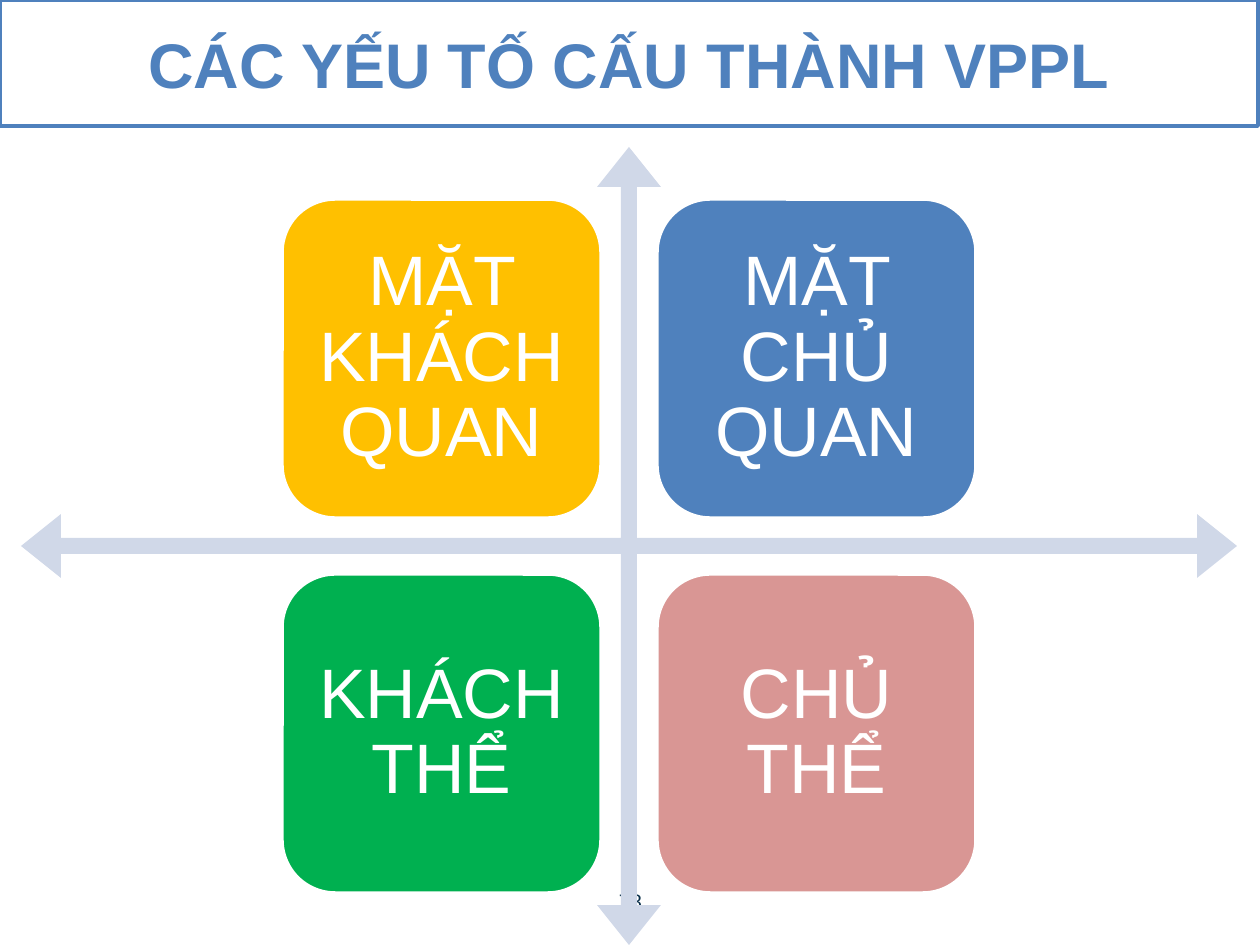
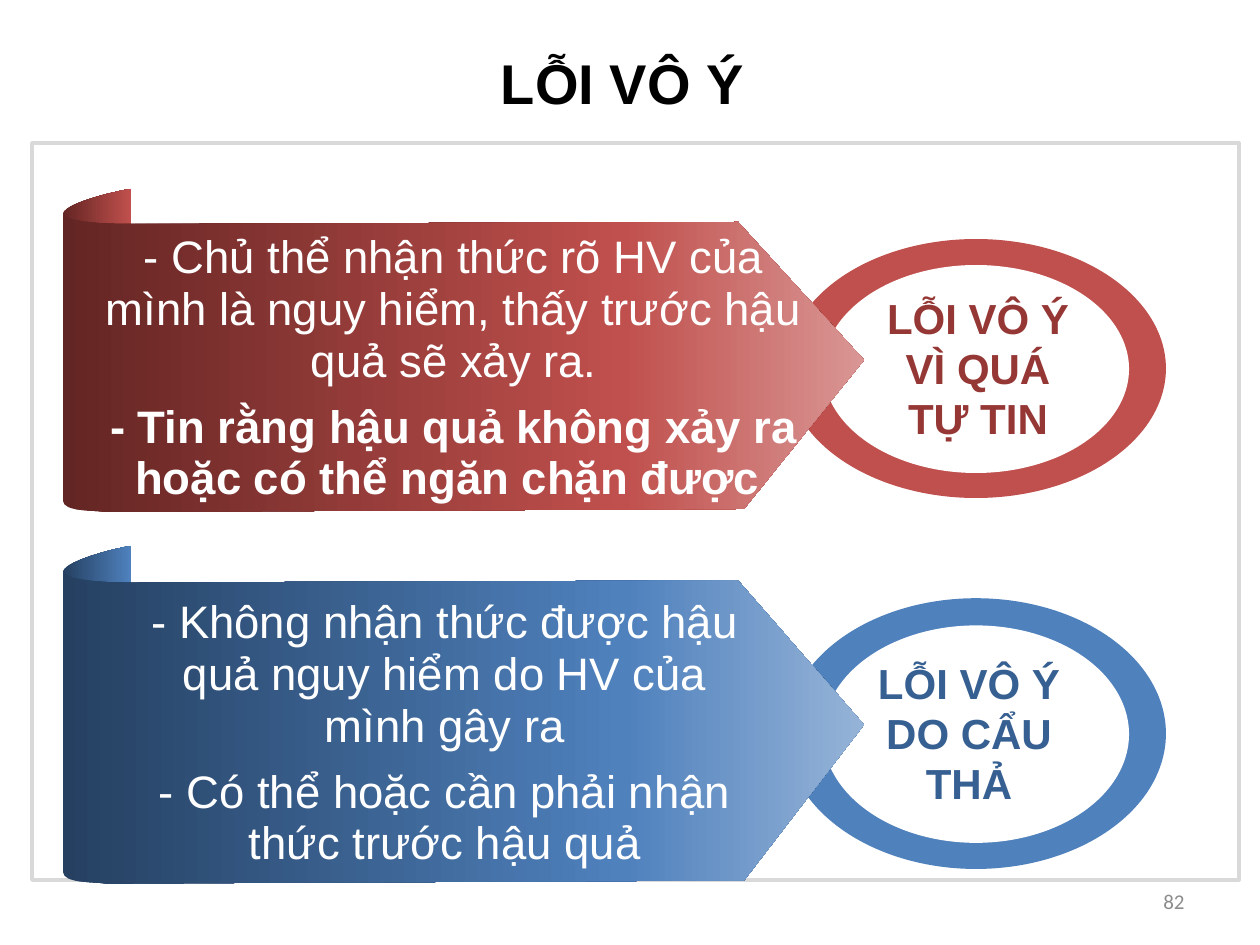
from lxml.etree import SubElement
from pptx import Presentation
from pptx.dml.color import RGBColor
from pptx.enum.shapes import MSO_SHAPE as Shape
from pptx.enum.text import MSO_ANCHOR as Anchor, MSO_AUTO_SIZE as AutoSize, PP_ALIGN as Align
from pptx.oxml.ns import qn
from pptx.util import Pt

PX = 914400 / 126
WHITE, BLUE, RED = "FFFFFF", "4F81BD", "C0504D"
TITLE_ONLY = 5


def paint(shape, *stops, line=None):
    """Fill with one hex colour, or with a left-to-right gradient of (percent, hex) stops."""
    if len(stops) == 1:
        shape.fill.solid()
        shape.fill.fore_color.rgb = RGBColor.from_string(stops[0])
    else:
        shape.fill.gradient()
        shape.fill.gradient_angle = 0
        stop_list = shape._element.spPr.find(".//" + qn("a:gsLst"))
        stop_list.clear()
        for percent, colour in stops:
            stop = SubElement(stop_list, qn("a:gs"), pos=str(percent * 1000))
            SubElement(stop, qn("a:srgbClr"), val=colour)
    if line:
        shape.line.color.rgb = RGBColor.from_string(line)
        shape.line.width = Pt(2)
    else:
        shape.line.fill.background()


def write(box, lines, size, colour, bold=(), font="Arial", align=Align.CENTER,
          anchor=Anchor.TOP, spacing=None, gap=0, wrap=True, grow=False):
    """Put one paragraph per line; bold holds the indexes of the bold ones."""
    frame = box.text_frame
    frame.word_wrap = wrap
    frame.auto_size = AutoSize.SHAPE_TO_FIT_TEXT if grow else AutoSize.NONE
    frame.vertical_anchor = anchor
    for index, line in enumerate(lines):
        para = frame.paragraphs[0] if index == 0 else frame.add_paragraph()
        para.alignment = align
        para.space_after = Pt(gap)
        if spacing:
            para.line_spacing = spacing
        span = para.add_run()
        span.text = line
        span.font.name = font
        span.font.size = Pt(size)
        span.font.bold = index in bold
        span.font.color.rgb = RGBColor.from_string(colour)


deck = Presentation()
deck.slide_width, deck.slide_height = round(1260 * PX), round(945 * PX)

# Titles and page numbers
headings = [
    ("CÁC YẾU TỐ CẤU THÀNH VPPL", (0, 0, 1258, 126), 36, BLUE, True,
     "78", (431, 876, 399, 50), "Arial", "0A304A", Align.CENTER),
    ("LỖI VÔ Ý", (487, 42, 271, 81), 32, "000000", False,
     "82", (903, 876, 294, 50), "Calibri", "8C8C8C", Align.RIGHT),
]
pages = []
for heading, place, size, colour, wrap, number, number_place, font, number_colour, align in headings:
    page = deck.slides.add_slide(deck.slide_layouts[TITLE_ONLY])
    title = page.shapes.title
    title.left, title.top, title.width, title.height = [round(v * PX) for v in place]
    write(title, [heading], size, colour, bold=[0], anchor=Anchor.MIDDLE, wrap=wrap)
    number_box = page.shapes.add_textbox(*[round(v * PX) for v in number_place])
    write(number_box, [number], 12, number_colour, font=font, align=align, anchor=Anchor.MIDDLE)
    pages.append(page)
elements_page, fault_page = pages

# Four elements around crossed arrows
paint(elements_page.shapes.title, WHITE, line=BLUE)
cross = elements_page.shapes.add_shape(
    Shape.QUAD_ARROW, *[round(v * PX) for v in (21, 147, 1216, 798)])
for index, value in enumerate((0.02, 0.04, 0.05)):
    cross.adjustments[index] = value
cross.shadow.inherit = False
paint(cross, "D0D8E8")

elements = [("MẶT KHÁCH QUAN", "FFC000"), ("MẶT CHỦ QUAN", BLUE),
            ("KHÁCH THỂ", "00B050"), ("CHỦ THỂ", "D99694")]
TILE, PITCH = 319, 375
for index, (label, colour) in enumerate(elements):
    row, column = divmod(index, 2)
    tile = elements_page.shapes.add_shape(
        Shape.ROUNDED_RECTANGLE,
        *[round(v * PX) for v in (282 + column * PITCH, 199 + row * PITCH, TILE, TILE)])
    tile.shadow.inherit = False
    paint(tile, colour, line=WHITE)
    frame = tile.text_frame
    frame.margin_left = frame.margin_right = round(21 * PX)
    frame.margin_top = frame.margin_bottom = round(21 * PX)
    write(tile, [label], 40, WHITE, anchor=Anchor.MIDDLE, spacing=0.9)

# Two kinds of fault: a ring behind a ribbon with a curled end
panel = fault_page.shapes.add_shape(
    Shape.RECTANGLE, *[round(v * PX) for v in (32, 143, 1207, 737)])
panel.shadow.inherit = False
paint(panel, WHITE, line="D9D9D9")

# Outlines below the ribbon's top: a start, then lines (one point) and curves (three)
curl = [[(131, 0)], [(121, 1), (68, 13), (63, 24)], [(58, 30), (101, 36), (131, 35)],
        [(131, 23), (131, 11), (131, 0)]]
ribbon = [[(63, 24)], [(68, 34), (108, 35), (131, 35)], [(738, 33)], [(864, 171)], [(744, 320)],
          [(106, 323)], [(93, 321), (64, 323), (63, 312)], [(63, 24)]]

faults = [
    (189, 1, "632523", RED, "D99694"),
    (546, 23 / 22, "254061", BLUE, "95B3D7"),
]
for top, stretch, dark, middle, light in faults:
    for left, offset, width, height, colour in [(786, 50, 380, 259, middle),
                                                (823, 76, 306, 208, WHITE)]:
        oval = fault_page.shapes.add_shape(
            Shape.OVAL,
            *[round(v * PX) for v in (left, top + offset * stretch, width, height * stretch)])
        oval.shadow.inherit = False
        paint(oval, colour)
    for outline, stops in [(curl, [(0, dark), (100, middle)]),
                           (ribbon, [(0, dark), (70, middle), (100, light)])]:
        segments = [[(round(x * PX), round((top + y * stretch) * PX)) for x, y in segment]
                    for segment in outline]
        builder = fault_page.shapes.build_freeform(*segments[0][0])
        builder.add_line_segments([segment[-1] for segment in segments[1:]], close=True)
        piece = builder.convert_to_shape()
        straight_lines = list(piece._element.spPr.iter(qn("a:lnTo")))
        for straight, segment in zip(straight_lines, segments[1:]):
            if len(segment) == 3:
                curve = straight.makeelement(qn("a:cubicBezTo"))
                for x, y in segment:
                    SubElement(curve, qn("a:pt"), x=str(x - piece.left), y=str(y - piece.top))
                straight.getparent().replace(straight, curve)
        piece.shadow.inherit = False
        paint(piece, *stops)

descriptions = [
    ((85, 226, 738, 289), [1],
     ["- Chủ thể nhận thức rõ HV của mình là nguy hiểm, thấy trước hậu quả sẽ xảy ra.",
      "- Tin rằng hậu quả không xảy ra hoặc có thể ngăn chặn được."]),
    ((137, 591, 616, 289), [],
     ["- Không nhận thức được hậu quả nguy hiểm do HV của mình gây ra",
      "- Có thể hoặc cần phải nhận thức trước hậu quả"]),
]
for place, bold, lines in descriptions:
    description = fault_page.shapes.add_textbox(*[round(v * PX) for v in place])
    write(description, lines, 26, WHITE, bold=bold, spacing=0.95, gap=8, grow=True)

names = [((873, 286, 210, 165), "LỖI VÔ Ý VÌ QUÁ TỰ TIN", "953735"),
         ((864, 651, 210, 165), "LỖI VÔ Ý DO CẨU THẢ", "376092")]
for place, name, colour in names:
    label = fault_page.shapes.add_textbox(*[round(v * PX) for v in place])
    write(label, [name], 24, colour, bold=[0], grow=True)

deck.save("out.pptx")
